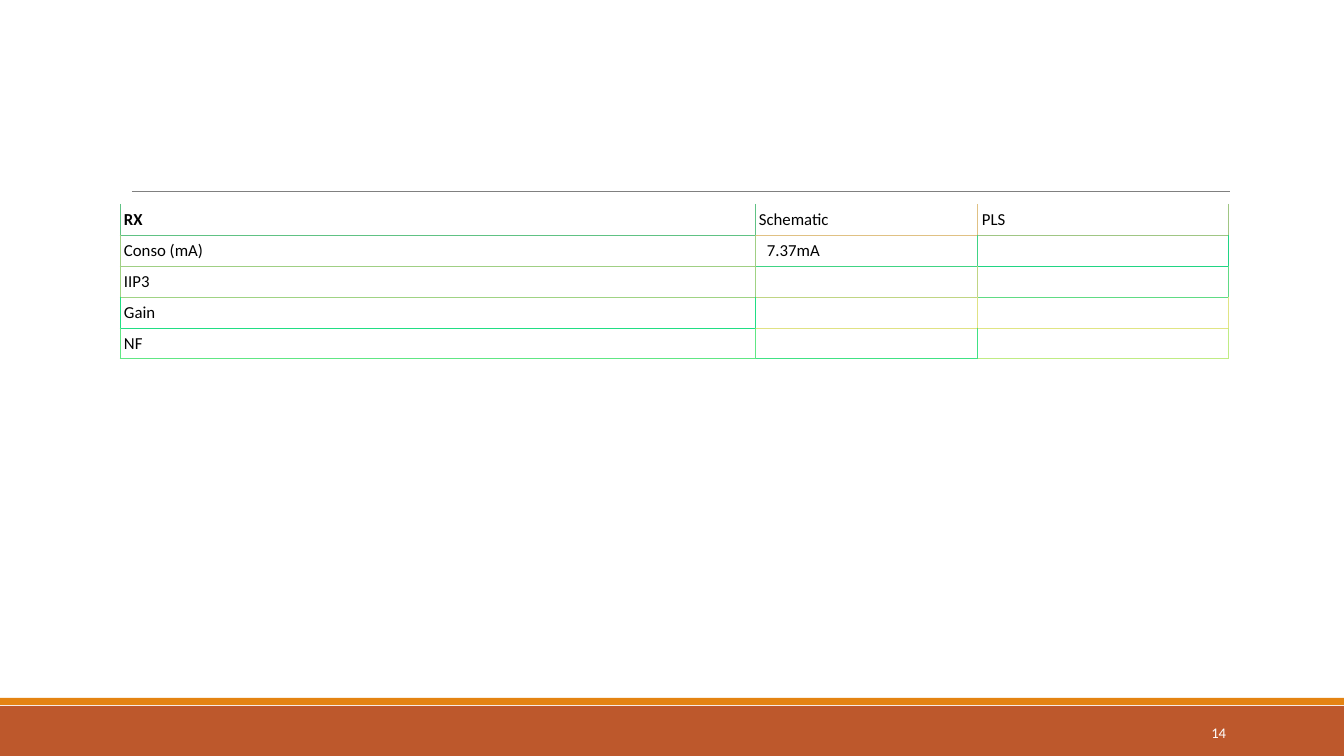
import pptx
import pptx.dml.color
import pptx.enum.shapes
import pptx.enum.text
import pptx.oxml
import pptx.oxml.ns
import pptx.util
from pptx.dml.color import RGBColor

BLACK = RGBColor(0x00, 0x00, 0x00)
WHITE = RGBColor(0xFF, 0xFF, 0xFF)
GREY = RGBColor(0x80, 0x80, 0x80)
RUST = RGBColor(0xBD, 0x58, 0x2C)
ORANGE = RGBColor(0xE4, 0x83, 0x12)

RESULTS = [
    ["RX", "Schematic", "PLS"],
    ["Conso (mA)", "7.37mA", ""],
    ["IIP3", "", ""],
    ["Gain", "", ""],
    ["NF", "", ""],
]
BORDERS = [
    [RGBColor(0x60, 0xC2, 0x84), RGBColor(0xE0, 0xC1, 0x84), RGBColor(0xA0, 0xC6, 0x84)],
    [RGBColor(0xA0, 0xCF, 0x84), RGBColor(0x40, 0xD4, 0x84), RGBColor(0x20, 0xD5, 0x84)],
    [RGBColor(0xA0, 0xD3, 0x84), RGBColor(0xC0, 0xD5, 0x84), RGBColor(0x60, 0xDB, 0x84)],
    [RGBColor(0x20, 0xDE, 0x84), RGBColor(0xE0, 0xE2, 0x84), RGBColor(0xE0, 0xE5, 0x84)],
    [RGBColor(0x60, 0xE7, 0x84), RGBColor(0x40, 0xE2, 0x84), RGBColor(0xC0, 0xEC, 0x84)],
]
COLUMN_WIDTHS = [635, 223, 251]
ROW_HEIGHT = 31
VALUE_INDENT = 8


def px(length):
    return pptx.util.Emu(round(length * 914400 / 100.8))


class SlideBuilder:
    font_name = "Calibri"
    cell_margin = 4
    cell_padding = 5
    border_width = pptx.util.Pt(0.75)

    def __init__(self, presentation):
        self.slide = presentation.slides.add_slide(presentation.slide_layouts[6])

    def band(self, left, top, width, height, color):
        shape = self.slide.shapes.add_shape(
            pptx.enum.shapes.MSO_SHAPE.RECTANGLE, px(left), px(top), px(width), px(height))
        shape.shadow.inherit = False
        shape.fill.solid()
        shape.fill.fore_color.rgb = color
        shape.line.fill.background()

    def rule(self, left, top, right, color):
        connector = self.slide.shapes.add_connector(
            pptx.enum.shapes.MSO_CONNECTOR.STRAIGHT, px(left), px(top), px(right), px(top))
        connector.line.color.rgb = color
        connector.line.width = pptx.util.Pt(0.5)
        properties = connector._element.spPr
        properties.append(pptx.oxml.parse_xml(f'<a:effectLst {pptx.oxml.ns.nsdecls("a")}/>'))

    def style(self, paragraph, size, color, bold=False):
        paragraph.font.name = self.font_name
        paragraph.font.size = pptx.util.Pt(size)
        paragraph.font.color.rgb = color
        paragraph.font.bold = bold

    def text(self, left, top, width, height, content, size, color):
        box = self.slide.shapes.add_textbox(px(left), px(top), px(width), px(height))
        frame = box.text_frame
        frame.word_wrap = True
        frame.vertical_anchor = pptx.enum.text.MSO_ANCHOR.MIDDLE
        paragraph = frame.paragraphs[0]
        paragraph.text = content
        paragraph.alignment = pptx.enum.text.PP_ALIGN.RIGHT
        self.style(paragraph, size, color)

    def border(self, cell, side, color):
        """Draw one side (L, R, T or B) of a cell, or hide it when color is None."""
        fill = (f'<a:solidFill><a:srgbClr val="{color}"/></a:solidFill>'
                if color is not None else "<a:noFill/>")
        return pptx.oxml.parse_xml(
            f'<a:ln{side} {pptx.oxml.ns.nsdecls("a")} w="{self.border_width}">{fill}</a:ln{side}>')

    def cell(self, cell, content, bold, indent, sides):
        cell.margin_left = px(self.cell_margin + indent)
        cell.margin_right = px(self.cell_margin)
        cell.margin_top = cell.margin_bottom = px(self.cell_padding)
        cell.vertical_anchor = pptx.enum.text.MSO_ANCHOR.BOTTOM
        paragraph = cell.text_frame.paragraphs[0]
        paragraph.text = content
        paragraph.line_spacing = pptx.util.Pt(15)
        self.style(paragraph, 12, BLACK, bold)
        cell.fill.background()
        properties = cell._tc.get_or_add_tcPr()
        for position, (side, color) in enumerate(sides.items()):
            properties.insert(position, self.border(cell, side, color))

    def table(self, left, top, widths, row_height, rows, colors):
        """Each cell has its own border colour; its left and top sides take the neighbours'."""
        frame = self.slide.shapes.add_table(
            len(rows), len(widths), px(left), px(top), px(sum(widths)), px(row_height * len(rows)))
        table = frame.table
        table.first_row = table.horz_banding = False
        for column, width in zip(table.columns, widths):
            column.width = px(width)
        for row_index, row in enumerate(rows):
            table.rows[row_index].height = px(row_height)
            for column_index, content in enumerate(row):
                own = colors[row_index][column_index]
                sides = {
                    "L": colors[row_index][max(column_index - 1, 0)],
                    "R": own,
                    "T": colors[row_index - 1][column_index] if row_index else None,
                    "B": own,
                }
                is_value = row_index > 0 and column_index > 0
                self.cell(table.cell(row_index, column_index), content,
                          bold=row_index == column_index == 0,
                          indent=VALUE_INDENT if is_value else 0, sides=sides)


def main():
    presentation = pptx.Presentation()
    presentation.slide_width = px(1344)
    presentation.slide_height = px(756)
    builder = SlideBuilder(presentation)
    builder.band(0, 706, 1344, 50, RUST)
    builder.band(0, 698, 1344, 7, ORANGE)
    builder.rule(132, 191, 1230, GREY)
    builder.table(120, 204, COLUMN_WIDTHS, ROW_HEIGHT, RESULTS, BORDERS)
    builder.text(1092, 713, 144, 40, "14", 10.5, WHITE)
    presentation.save("out.pptx")


if __name__ == "__main__":
    main()
